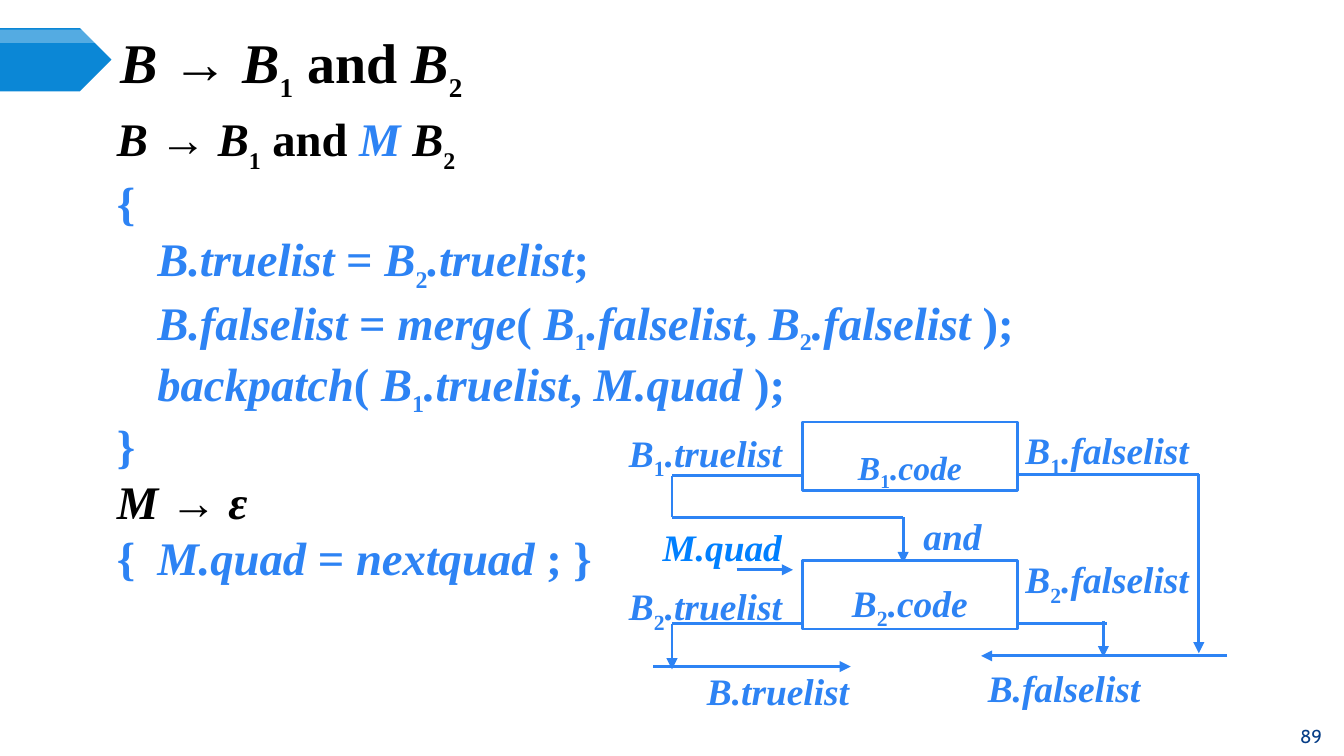
from itertools import pairwise
from lxml.etree import SubElement as Sub
from pptx import Presentation
from pptx.dml.color import RGBColor as Rgb
from pptx.enum.shapes import MSO_CONNECTOR as Link, MSO_SHAPE as Shape
from pptx.enum.text import MSO_ANCHOR as Anchor, MSO_AUTO_SIZE as Fit, PP_ALIGN as Align
from pptx.oxml.ns import qn
from pptx.util import Inches, Pt

HUES = {"ink": "000000", "blue": "2D83F4", "azure": "0080FF",
        "tab": "0B87D6", "navy": "073E87", "white": "FFFFFF"}
SERIF = "Times New Roman"
COLS, ROWS = 100, 56.25
CELL = Inches(10) / COLS
DROPS = {"s": -30000, "d": -25000}


def cells(*nums):
    return [round(n * CELL) for n in nums]


def hue(name):
    return Rgb.from_string(HUES[name])


def place(shape, box):
    shape.left, shape.top, shape.width, shape.height = cells(*box)


def frame(shape, anchor=Anchor.TOP):
    body = shape.text_frame
    body.auto_size = Fit.NONE
    body.word_wrap = True
    body.vertical_anchor = anchor
    body.margin_left = body.margin_right = Inches(0.07)
    body.margin_top = body.margin_bottom = Inches(0.04)
    return body


def write(par, runs, size, tint, low=None, align=Align.LEFT, face=SERIF, bold=True):
    par.alignment = align
    par.space_before = Pt(0)
    for text, style, *own in runs:
        run = par.add_run()
        run.text = text
        font = run.font
        font.name, font.bold, font.italic = face, bold, style == "i"
        font.size = Pt(low if low and style in DROPS else size)
        font.color.rgb = hue(own[0] if own else tint)
        if style in DROPS:
            run._r.get_or_add_rPr().set("baseline", str(DROPS[style]))


def draw(slide, kind, box, fill, edge=None):
    shape = slide.shapes.add_shape(kind, *cells(*box))
    shape.shadow.inherit = False
    shape.fill.solid()
    shape.fill.fore_color.rgb = hue(fill)
    if edge:
        shape.line.color.rgb = hue(edge)
        shape.line.width = Pt(1.5)
    else:
        shape.line.fill.background()
    return shape


def route(slide, x, y, points, arrow):
    steps = list(pairwise(points))
    for step, (start, end) in enumerate(steps, 1):
        ends = cells(x + start[0], y + start[1], x + end[0], y + end[1])
        line = slide.shapes.add_connector(Link.STRAIGHT, *ends)
        line.line.color.rgb = hue("blue")
        line.line.width = Pt(1.5)
        if arrow and step == len(steps):
            Sub(line.line._get_or_add_ln(), qn("a:tailEnd"), type="triangle")
        Sub(line._element.spPr, qn("a:effectLst"))


def add_tab(slide, box):
    x, y, w, h = box
    draw(slide, Shape.PENTAGON, box, "tab")
    shine = draw(slide, Shape.PENTAGON, (x, y + 0.1, w, 1), "white")
    tone = shine.fill._xPr.find(qn("a:solidFill"))[0]
    Sub(tone, qn("a:alpha"), val="30000")


def add_title(slide, box):
    title = slide.shapes.title
    place(title, box)
    runs = [("B ", "i"), ("→ ", "n"), ("B", "i"), ("1", "s"),
            (" and ", "n"), ("B", "i"), ("2", "s")]
    write(frame(title, Anchor.MIDDLE).paragraphs[0], runs, 30, "ink", 25)


def add_rules(slide, box):
    body = slide.placeholders[1]
    place(body, box)
    text = frame(body)
    rules = [
        [("B ", "i", "ink"), ("→ ", "n", "ink"), ("B", "i", "ink"), ("1", "s", "ink"),
         (" and ", "n", "ink"), ("M", "i"), (" B", "i", "ink"), ("2", "s", "ink")],
        [("{", "n")],
        [("\t", "n"), ("B.truelist", "i"), (" = ", "n"), ("B", "i"), ("2", "s"),
         (".truelist", "i"), (";", "n")],
        [("\t", "n"), ("B.falselist", "i"), (" = ", "n"), ("merge", "i"), ("( ", "n"),
         ("B", "i"), ("1", "d"), (".falselist", "i"), (", ", "n"),
         ("B", "i"), ("2", "d"), (".falselist", "i"), (" );", "n")],
        [("\t", "n"), ("backpatch", "i"), ("( ", "n"), ("B", "i"), ("1", "d"),
         (".truelist", "i"), (", ", "n"), ("M.quad", "i"), (" );", "n")],
        [("}", "n")],
        [("M ", "i", "ink"), ("→ ", "n", "ink"), ("ε", "i", "ink")],
        [("{\t", "n"), ("M.quad", "i"), (" = ", "n"), ("nextquad ", "i"), ("; }", "n")],
    ]
    for row, runs in enumerate(rules):
        par = text.add_paragraph() if row else text.paragraphs[0]
        props = par._p.get_or_add_pPr()
        props.set("marL", str(Inches(0.3)))
        props.set("indent", str(-Inches(0.3)))
        Sub(props, qn("a:buNone"))
        write(par, runs, 25, "blue", 22, Align.JUSTIFY)
        if row >= 6:
            par.line_spacing = Pt(30)


def add_flow(slide, x, y):
    left, right, side = 13.6, 29.6, 3.9
    routes = [
        ([(left, 4), (side, 4), (side, 7.1), (21.1, 7.1), (21.1, 10.5)], True),
        ([(right, 3.9), (43.1, 3.9), (43.1, 17.2)], True),
        ([(left, 15), (side, 15), (side, 18.4)], True),
        ([(right, 15), (36.3, 15)], False),
        ([(36, 14.8), (36, 17.5)], True),
        ([(2.5, 18.2), (17.2, 18.2)], True),
        ([(45.2, 17.4), (26.9, 17.4)], True),
        ([(8.7, 11), (12.9, 11)], True),
    ]
    for points, arrow in routes:
        route(slide, x, y, points, arrow)

    labels = [
        (0, 0.2, 14.7, "B", "1", ".truelist"),
        (0, 11.6, 16.5, "B", "2", ".truelist"),
        (29.5, 0, 14.2, "B", "1", ".falselist"),
        (29.5, 9.6, 14.2, "B", "2", ".falselist"),
        (5.8, 17.9, 12.4, "B.truelist"),
        (26.7, 17.7, 13, "B.falselist"),
        (21.9, 6.4, 6.2, "and"),
        (2.5, 7.2, 10.6, "M.quad"),
    ]
    for dx, dy, w, *parts in labels:
        label = slide.shapes.add_textbox(*cells(x + dx, y + dy, w, 4.1))
        tint = "azure" if parts == ["M.quad"] else "blue"
        write(frame(label).paragraphs[0], zip(parts, "idi"), 20, tint)

    for num, dy, size in (("1", 0, 18), ("2", 10.3, 20)):
        block = draw(slide, Shape.RECTANGLE, (x + left, y + dy, 16, 5.1), "white", "blue")
        par = frame(block).paragraphs[0]
        write(par, zip(("B", num, ".code"), "idi"), size, "blue", align=Align.CENTER)
        par.line_spacing = Pt(35)


def add_page(slide, box):
    page = slide.shapes.add_textbox(*cells(*box))
    par = frame(page, Anchor.MIDDLE).paragraphs[0]
    write(par, [("89", "n")], 10, "navy", align=Align.CENTER, face="Cabin", bold=False)


def main():
    deck = Presentation()
    deck.slide_width, deck.slide_height = cells(COLS, ROWS)
    slide = deck.slides.add_slide(deck.slide_layouts[1])
    add_tab(slide, (0, 2.1, 8.3, 4.7))
    add_title(slide, (8.3, 2.9, 86.7, 3.9))
    add_rules(slide, (8, 7.8, 80.3, 35.3))
    add_flow(slide, 46.1, 31.4)
    add_page(slide, (95.3, 53.3, 4.5, 3))
    deck.save("out.pptx")


if __name__ == "__main__":
    main()
